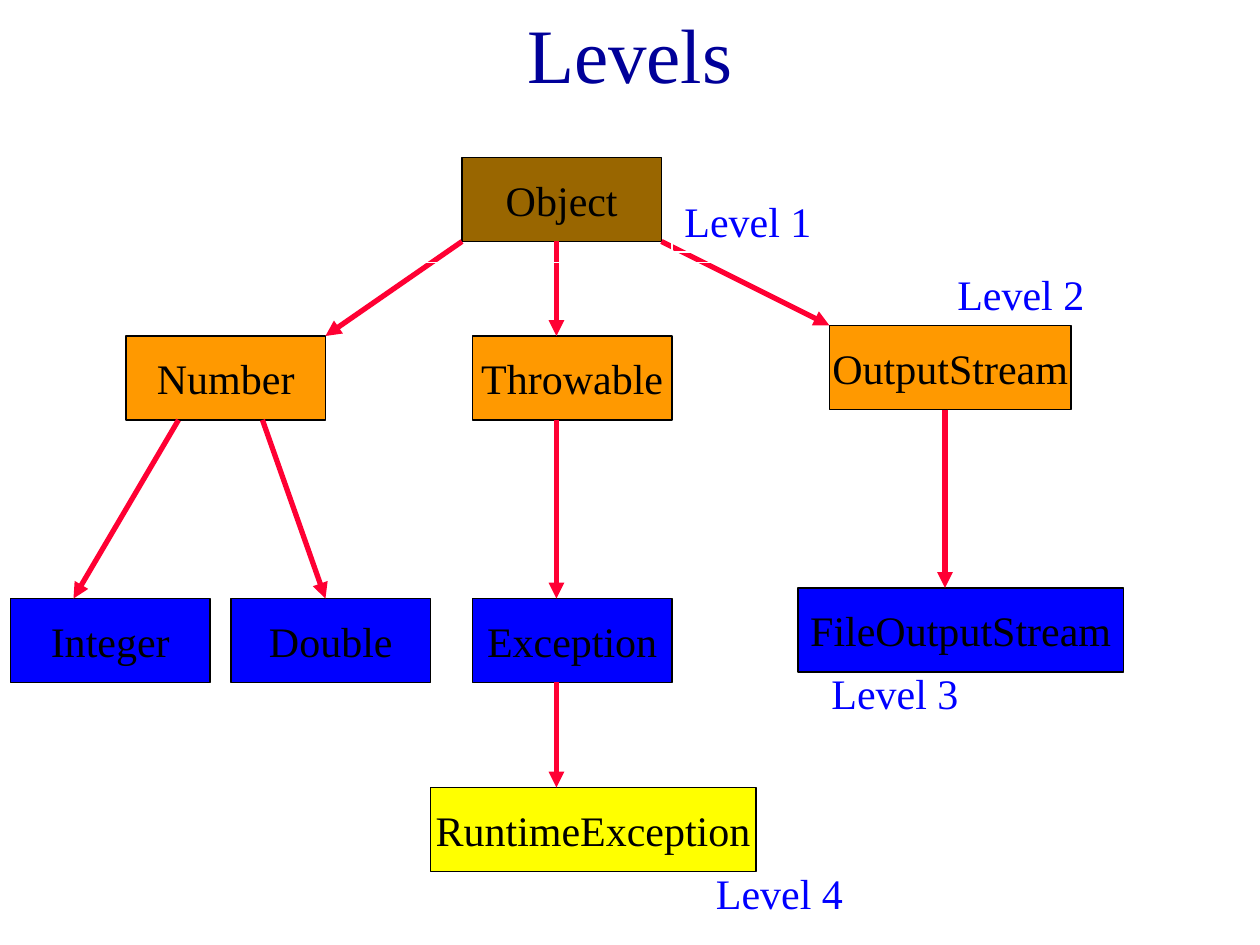
from dataclasses import dataclass

from lxml.etree import SubElement
from pptx import Presentation
from pptx.dml.color import RGBColor
from pptx.enum.shapes import MSO_CONNECTOR, MSO_SHAPE
from pptx.enum.text import MSO_ANCHOR, MSO_AUTO_SIZE, PP_ALIGN
from pptx.oxml.ns import qn
from pptx.util import Pt


@dataclass(frozen=True)
class Theme:
    font: str = "Times New Roman"
    title_size: int = 44
    body_size: int = 24
    title: str = "000099"
    label: str = "0000FF"
    text: str = "000000"
    frame: str = "FFFFFF"
    arrow: str = "FF0033"
    levels: tuple = ("996600", "FF9900", "0000FF", "FFFF00")


THEME = Theme()
BOX_HEIGHT = 48
LABEL_HEIGHT = 36

# Class name: level, left, top, width
CLASSES = {
    "Object": (1, 264, 90, 114),
    "Number": (2, 72, 192, 114),
    "Throwable": (2, 270, 192, 114),
    "OutputStream": (2, 474, 186, 138),
    "Integer": (3, 6, 342, 114),
    "Double": (3, 132, 342, 114),
    "Exception": (3, 270, 342, 114),
    "FileOutputStream": (3, 456, 336, 186),
    "RuntimeException": (4, 246, 450, 186),
}
# Parent, child, x where the arrow leaves, x where it arrives
ARROWS = [
    ("Object", "Throwable", 318, 318),
    ("Object", "Number", 264, 186),
    ("Object", "OutputStream", 378, 474),
    ("Number", "Integer", 102, 42),
    ("Number", "Double", 150, 186),
    ("Throwable", "Exception", 318, 318),
    ("OutputStream", "FileOutputStream", 540, 540),
    ("Exception", "RuntimeException", 318, 318),
]
# Label: left, top, width
LOWER_LABELS = {
    "Level 4": (402, 492, 270),
    "Level 3": (468, 378, 234),
    "Level 2": (540, 150, 180),
}
TOP_LABEL = ("Level 1", 384, 108, 90)
TOP_FRAME = (192, 66, 288, 84)


def write(shape, text, size, color, align):
    frame = shape.text_frame
    frame.text = text
    para = frame.paragraphs[0]
    para.alignment = align
    font = para.runs[0].font
    font.name, font.size = THEME.font, Pt(size)
    font.color.rgb = RGBColor.from_string(color)
    return frame


def add_rectangle(slide, left, top, width, height, line, fill=None):
    box = slide.shapes.add_shape(
        MSO_SHAPE.RECTANGLE, Pt(left), Pt(top), Pt(width), Pt(height))
    box.shadow.inherit = False
    box.line.color.rgb = RGBColor.from_string(line)
    box.line.width = Pt(1)
    if fill:
        box.fill.solid()
        box.fill.fore_color.rgb = RGBColor.from_string(fill)
    else:
        box.fill.background()
    return box


def add_class(slide, name, level, left, top, width):
    box = add_rectangle(slide, left, top, width, BOX_HEIGHT,
                        THEME.text, THEME.levels[level - 1])
    frame = write(box, name, THEME.body_size, THEME.text, PP_ALIGN.CENTER)
    frame.word_wrap = False
    frame.vertical_anchor = MSO_ANCHOR.MIDDLE


def add_label(slide, text, left, top, width):
    box = add_rectangle(slide, left, top, width, LABEL_HEIGHT, THEME.frame)
    frame = write(box, text, THEME.body_size, THEME.label, PP_ALIGN.LEFT)
    frame.word_wrap = True
    frame.vertical_anchor = MSO_ANCHOR.TOP
    frame.auto_size = MSO_AUTO_SIZE.SHAPE_TO_FIT_TEXT
    frame.paragraphs[0].space_before = Pt(15)


def add_arrow(slide, parent, child, start_x, end_x):
    start_y = CLASSES[parent][2] + BOX_HEIGHT
    end_y = CLASSES[child][2]
    arrow = slide.shapes.add_connector(
        MSO_CONNECTOR.STRAIGHT, Pt(start_x), Pt(start_y), Pt(end_x), Pt(end_y))
    arrow.line.color.rgb = RGBColor.from_string(THEME.arrow)
    arrow.line.width = Pt(3)
    SubElement(arrow.line._get_or_add_ln(), qn("a:tailEnd"), type="triangle")
    SubElement(arrow._element.spPr, qn("a:effectLst"))


def main():
    deck = Presentation()
    deck.slide_width, deck.slide_height = Pt(720), Pt(540)
    page = deck.slides.add_slide(deck.slide_layouts[5])

    # Title
    title = page.shapes.title
    title.left, title.top, title.width, title.height = Pt(0), Pt(0), Pt(720), Pt(60)
    frame = write(title, "Levels", THEME.title_size, THEME.title, PP_ALIGN.CENTER)
    frame.vertical_anchor = MSO_ANCHOR.MIDDLE

    # Lower level labels, behind the tree
    for text, place in LOWER_LABELS.items():
        add_label(page, text, *place)

    # Class tree
    for name, details in CLASSES.items():
        add_class(page, name, *details)
    for arrow in ARROWS:
        add_arrow(page, *arrow)

    # Top level label and frame, crossing the arrows
    add_label(page, *TOP_LABEL)
    add_rectangle(page, *TOP_FRAME, THEME.frame)

    deck.save("out.pptx")


if __name__ == "__main__":
    main()
